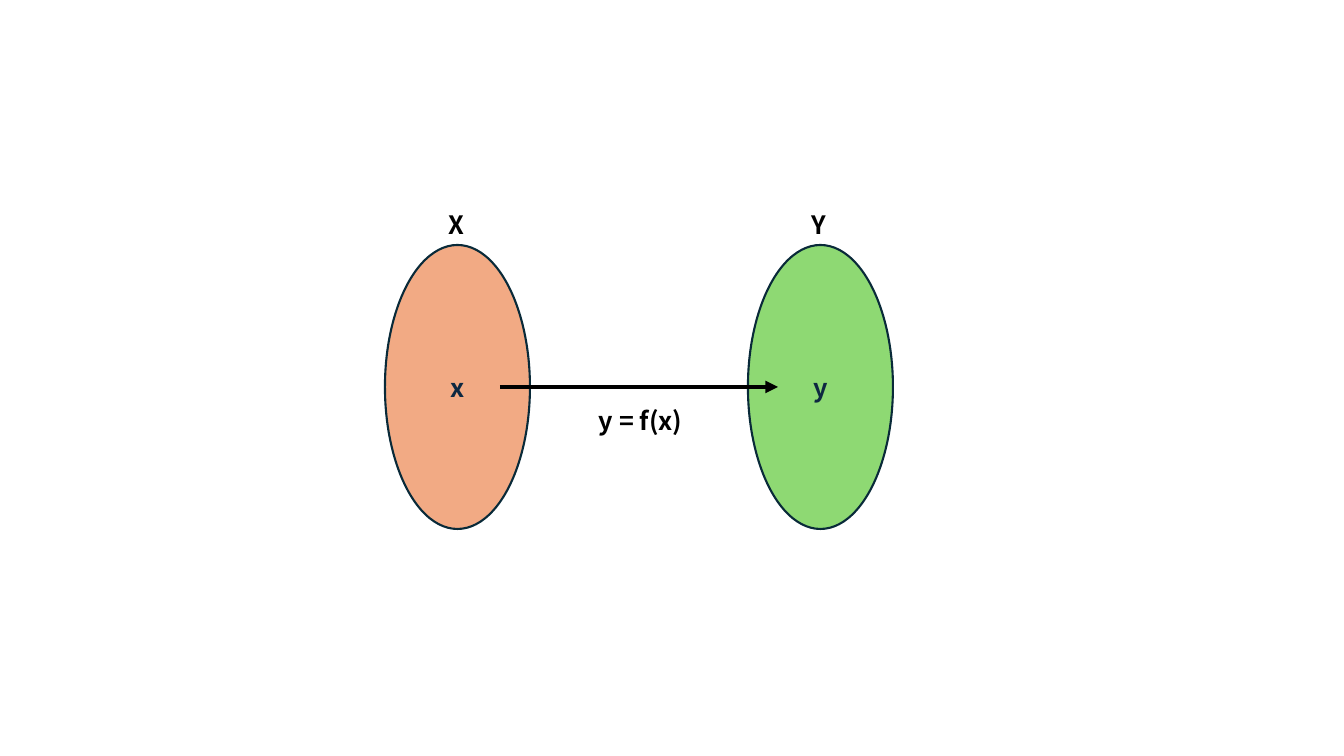
from lxml import etree
from pptx import Presentation
from pptx import util as u
from pptx.dml.color import RGBColor
from pptx.enum import shapes, text
from pptx.oxml.ns import qn

EMU_PER_PX = 914400 / 100.8
FONT = "Noto Sans CJK KR"
BLACK = "000000"
NAVY = "0E2841"
OUTLINE = "092A39"
SET_TOP, SET_WIDTH, SET_HEIGHT = 245, 145, 284
LABEL_TOP, LABEL_HEIGHT = 204, 40
ARROW_Y = SET_TOP + SET_HEIGHT // 2


def px(length):
    return u.Emu(round(length * EMU_PER_PX))


def color(value):
    return RGBColor.from_string(value)


def write(frame, words, ink, align):
    para = frame.paragraphs[0]
    para.text = words
    para.alignment = align
    para.font.name = FONT
    para.font.size = u.Pt(18)
    para.font.bold = True
    para.font.color.rgb = color(ink)


def add_label(group, words, left, top, width):
    box = group.shapes.add_textbox(px(left), px(top), px(width), px(LABEL_HEIGHT))
    box.text_frame.word_wrap = False
    box.text_frame.auto_size = text.MSO_AUTO_SIZE.SHAPE_TO_FIT_TEXT
    write(box.text_frame, words, BLACK, text.PP_ALIGN.LEFT)


def add_set(group, name, element, left, fill):
    oval = group.shapes.add_shape(
        shapes.MSO_SHAPE.OVAL, px(left), px(SET_TOP), px(SET_WIDTH), px(SET_HEIGHT)
    )
    oval.shadow.inherit = False
    oval.fill.solid()
    oval.fill.fore_color.rgb = color(fill)
    oval.line.color.rgb = color(OUTLINE)
    oval.line.width = u.Pt(1.5)
    oval.text_frame.vertical_anchor = text.MSO_ANCHOR.MIDDLE
    write(oval.text_frame, element, NAVY, text.PP_ALIGN.CENTER)
    add_label(group, name, left + 54, LABEL_TOP, 37)


def add_arrow(group, start, end, y):
    arrow = group.shapes.add_connector(
        shapes.MSO_CONNECTOR.STRAIGHT, px(start), px(y), px(end), px(y)
    )
    arrow.line.color.rgb = color(BLACK)
    arrow.line.width = u.Pt(3)
    etree.SubElement(arrow.line._get_or_add_ln(), qn("a:tailEnd"), type="triangle")
    etree.SubElement(arrow._element.spPr, qn("a:effectLst"))


def main():
    deck = Presentation()
    deck.slide_width, deck.slide_height = px(1344), px(756)
    page = deck.slides.add_slide(deck.slide_layouts[6])
    mapping = page.shapes.add_group_shape()
    add_set(mapping, "X", "x", 385, "F2AA84")
    add_set(mapping, "Y", "y", 748, "8ED973")
    add_arrow(mapping, 500, 778, ARROW_Y)
    add_label(mapping, "y = f(x)", 589, 400, 112)
    deck.save("out.pptx")


if __name__ == "__main__":
    main()
